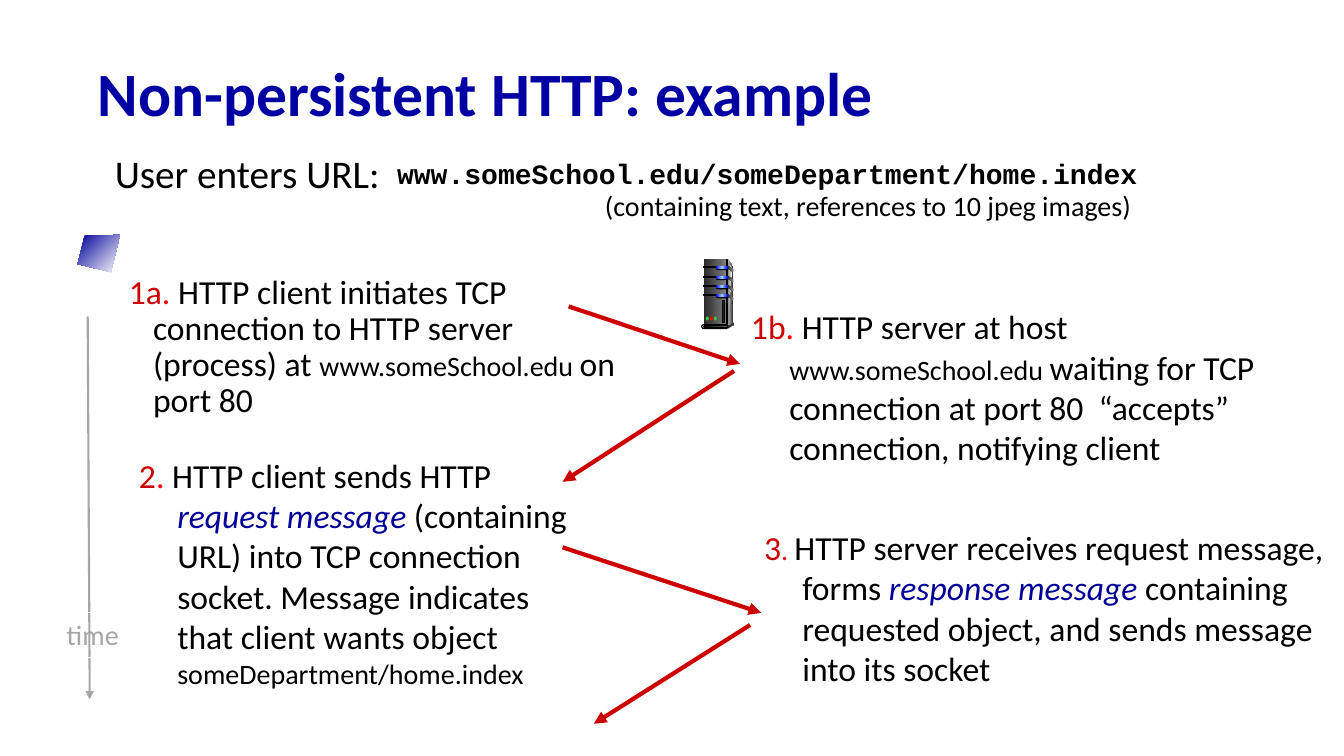
from copy import deepcopy
from dataclasses import dataclass
from typing import Any, Optional

from pptx import Presentation
from pptx.dml.color import RGBColor
from pptx.enum.shapes import MSO_CONNECTOR, MSO_SHAPE
from pptx.enum.text import MSO_ANCHOR, MSO_AUTO_SIZE, PP_ALIGN
from pptx.oxml.ns import qn
from pptx.util import Emu, Pt
from lxml.etree import SubElement

PX = 9144

BLACK = RGBColor(0x00, 0x00, 0x00)
WHITE = RGBColor(0xFF, 0xFF, 0xFF)
TITLE_BLUE = RGBColor(0x00, 0x00, 0xA3)
TERM_BLUE = RGBColor(0x00, 0x00, 0x99)
STEP_RED = RGBColor(0xCC, 0x00, 0x00)
DOT_RED = RGBColor(0xFF, 0x00, 0x00)
TIME_GREY = RGBColor(0xA6, 0xA6, 0xA6)
CHARCOAL = RGBColor(0x29, 0x29, 0x29)
DARK_GREY = RGBColor(0x33, 0x33, 0x33)
MID_GREY = RGBColor(0x80, 0x80, 0x80)
LIGHT_GREY = RGBColor(0xDD, 0xDD, 0xDD)
PALE_GREY = RGBColor(0xF8, 0xF8, 0xF8)
LED_BLUE = RGBColor(0x00, 0x00, 0xFF)
LED_SKY = RGBColor(0x99, 0xCC, 0xFF)
LED_GREEN = RGBColor(0x33, 0xCC, 0x33)

BLOCK, PILL, DOT = MSO_SHAPE.RECTANGLE, MSO_SHAPE.ROUNDED_RECTANGLE, MSO_SHAPE.OVAL
Box = tuple[int, int, int, int]
Point = tuple[int, int]
Colors = tuple[RGBColor, ...]


@dataclass(frozen=True)
class Run:
    """A stretch of text in one style."""
    text: str
    size: int = 24
    color: RGBColor = BLACK
    bold: bool = False
    italic: bool = False
    font: str = "Calibri"


@dataclass(frozen=True)
class Passage:
    """A one-paragraph text box with a hanging indent."""
    box: Box
    runs: tuple[Run, ...]
    frame: dict[str, Any]
    paragraph: dict[str, Any]
    margin: int = 0
    hang: int = 0
    border: Optional[RGBColor] = None


@dataclass(frozen=True)
class Arrow:
    """A straight arrow between two points."""
    start: Point
    end: Point
    color: RGBColor = STEP_RED
    width: float = 3


@dataclass(frozen=True)
class Part:
    """A preset shape of the server."""
    kind: MSO_SHAPE
    box: Box
    colors: Colors
    outlined: bool = False


@dataclass(frozen=True)
class Panel:
    """A polygon, filled plainly or by a gradient."""
    corners: tuple[Point, ...]
    colors: Colors
    angle: int = 0


def set_all(target: Any, values: dict[str, Any]) -> None:
    """Set each named attribute on the target."""
    for name, value in values.items():
        setattr(target, name, value)


def draw_passage(shapes: Any, passage: Passage) -> None:
    """Draw a text box."""
    textbox = shapes.add_textbox(*(Emu(length * PX) for length in passage.box))
    if passage.border:
        textbox.line.color.rgb = passage.border
        textbox.line.width = Pt(0.75)
    set_all(textbox.text_frame, passage.frame)
    paragraph = textbox.text_frame.paragraphs[0]
    set_all(paragraph, passage.paragraph)
    properties = paragraph._p.get_or_add_pPr()
    properties.set("marL", str(passage.margin * PX))
    properties.set("indent", str(-passage.hang * PX))
    for run in passage.runs:
        written = paragraph.add_run()
        written.text = run.text
        set_all(written.font, {"name": run.font, "size": Pt(run.size),
                               "bold": run.bold, "italic": run.italic})
        written.font.color.rgb = run.color


def draw_arrow(shapes: Any, arrow: Arrow) -> None:
    """Draw a line with a triangle at its end."""
    ends = (Emu(length * PX) for length in arrow.start + arrow.end)
    connector = shapes.add_connector(MSO_CONNECTOR.STRAIGHT, *ends)
    connector.line.color.rgb = arrow.color
    connector.line.width = Pt(arrow.width)
    SubElement(connector.line._get_or_add_ln(), qn("a:tailEnd"), type="triangle")
    SubElement(connector._element.spPr, qn("a:effectLst"))


def paint(shape: Any, colors: Colors, outlined: bool = False, angle: int = 0) -> None:
    """Fill a shape with one color or with evenly spaced gradient stops."""
    shape.shadow.inherit = False
    if outlined:
        shape.line.color.rgb = BLACK
        shape.line.width = Pt(0.75)
    else:
        shape.line.fill.background()
    if len(colors) == 1:
        shape.fill.solid()
        shape.fill.fore_color.rgb = colors[0]
        return
    shape.fill.gradient()
    shape.fill.gradient_angle = angle
    stop_list = shape._element.spPr.find(f".//{qn('a:gsLst')}")
    for _ in colors[2:]:
        stop_list.append(deepcopy(stop_list[0]))
    for index, (stop, color) in enumerate(zip(shape.fill.gradient_stops, colors)):
        stop.color.rgb = color
        stop.position = index / (len(colors) - 1)


def draw_part(shapes: Any, part: Part) -> None:
    """Draw a preset shape."""
    shape = shapes.add_shape(part.kind, *(Emu(length * PX) for length in part.box))
    if part.kind == PILL:
        shape.adjustments[0] = 0.5
    paint(shape, part.colors, part.outlined)


def draw_panel(shapes: Any, panel: Panel) -> None:
    """Draw a polygon."""
    first, *others = panel.corners
    builder = shapes.build_freeform(*first, scale=PX)
    builder.add_line_segments(others, close=True)
    paint(builder.convert_to_shape(), panel.colors, angle=panel.angle)


def draw_server(shapes: Any) -> None:
    """Draw the server tower from its body, drive slots and lights."""
    draw_panel(shapes, Panel(((722, 257), (727, 265), (727, 321), (721, 324)), (LIGHT_GREY, DARK_GREY)))
    draw_part(shapes, Part(BLOCK, (698, 257, 23, 67), (CHARCOAL, MID_GREY)))
    draw_panel(shapes, Panel(((722, 261), (726, 266), (724, 290), (722, 323)), (MID_GREY, PALE_GREY)))
    draw_part(shapes, Part(BLOCK, (721, 257, 1, 67), (DARK_GREY, LIGHT_GREY, DARK_GREY), True))
    for top in (264, 274, 283, 292):
        draw_part(shapes, Part(BLOCK, (698, top, 13, 1), (BLACK,), True))
        draw_part(shapes, Part(PILL, (710, top, 13, 4), (BLACK,)))
        draw_part(shapes, Part(PILL, (710, top, 12, 3), (LED_BLUE, LED_SKY, LED_BLUE)))
        tab = ((722, top), (727, top + 3), (727, top + 6), (722, top + 2))
        draw_panel(shapes, Panel(tab, (CHARCOAL, MID_GREY)))
    draw_part(shapes, Part(DOT, (727, 320, 1, 3), (DARK_GREY,)))
    draw_panel(shapes, Panel(((722, 323), (722, 326), (727, 323), (727, 321)), (DARK_GREY,)))
    draw_part(shapes, Part(PILL, (696, 322, 26, 4), (LIGHT_GREY,), True))
    draw_part(shapes, Part(PILL, (698, 323, 24, 2), (BLACK, MID_GREY), True))
    for left, color in ((700, LED_GREEN), (704, DOT_RED), (708, LED_GREEN)):
        draw_part(shapes, Part(DOT, (left, 314, 3, 4), (color,)))
    draw_part(shapes, Part(BLOCK, (717, 298, 2, 22), (CHARCOAL,), True))


WRAPPED = {"word_wrap": True}
GROWING = {"word_wrap": True, "auto_size": MSO_AUTO_SIZE.SHAPE_TO_FIT_TEXT}
UNWRAPPED = {"word_wrap": False, "auto_size": MSO_AUTO_SIZE.SHAPE_TO_FIT_TEXT}
CENTRED = {"alignment": PP_ALIGN.CENTER}
TIGHT = {"line_spacing": 0.9, "space_before": Pt(10)}

PASSAGES = (
    Passage((87, 47, 1150, 98), (Run("Non-persistent HTTP: example", 44, TITLE_BLUE, bold=True),),
            {"word_wrap": True, "vertical_anchor": MSO_ANCHOR.MIDDLE}, {"line_spacing": 0.9}),
    Passage((89, 148, 869, 51), (Run("User enters URL:", 28),), WRAPPED, TIGHT, 39, 24),
    Passage((103, 268, 530, 208), (
        Run("1a", color=STEP_RED), Run(".", color=DOT_RED),
        Run(" HTTP client initiates TCP connection to HTTP server (process) at "),
        Run("www.someSchool.edu ", 20), Run("on port 80")), WRAPPED, TIGHT, 39, 24),
    Passage((128, 446, 461, 118), (
        Run("2", color=STEP_RED), Run(".", color=DOT_RED), Run(" HTTP client sends HTTP "),
        Run("request message", color=TERM_BLUE, italic=True),
        Run(" (containing URL) into TCP connection socket. Message indicates that client wants object "),
        Run("someDepartment/home.index", 20)), WRAPPED, {}, 38, 38),
    Passage((735, 299, 589, 165), (
        Run("1b", color=STEP_RED), Run(".", color=DOT_RED), Run(" HTTP server at host "),
        Run("www.someSchool.edu ", 20),
        Run("waiting for TCP connection at port 80  “accepts” connection, notifying client")),
        WRAPPED, {}, 38, 38),
    Passage((748, 518, 590, 197), (
        Run("3", color=STEP_RED), Run(". ", 20, DOT_RED),
        Run("HTTP server receives request message, forms "),
        Run("response message", color=TERM_BLUE, italic=True),
        Run(" containing requested object, and sends message into its socket")), WRAPPED, {}, 38, 38),
    Passage((55, 608, 74, 44), (Run("time", 20, TIME_GREY),), UNWRAPPED, CENTRED, border=WHITE),
    Passage((512, 182, 698, 44), (Run("(containing text, references to 10 jpeg images)", 20),),
            GROWING, CENTRED),
    Passage((384, 155, 869, 51), (
        Run("www.someSchool.edu/someDepartment/home.index", 20, bold=True, font="Courier New"),),
        WRAPPED, {"line_spacing": 0.85}, 38, 38),
)

ARROWS = (
    Arrow((87, 314), (89, 694), TIME_GREY, 1.5),
    Arrow((564, 304), (734, 361)),
    Arrow((728, 368), (558, 478)),
    Arrow((558, 543), (755, 608)),
    Arrow((744, 620), (589, 718)),
)

CLIENT = Panel(((119, 233), (84, 234), (77, 262), (110, 270)), (TERM_BLUE, WHITE), 315)


def main() -> None:
    """Build the slide and save it."""
    deck = Presentation()
    set_all(deck, {"slide_width": Emu(1333 * PX), "slide_height": Emu(750 * PX)})
    shapes = deck.slides.add_slide(deck.slide_layouts[6]).shapes
    for arrow in ARROWS:
        draw_arrow(shapes, arrow)
    for passage in PASSAGES:
        draw_passage(shapes, passage)
    draw_panel(shapes, CLIENT)
    draw_server(shapes.add_group_shape().shapes)
    deck.save("out.pptx")


if __name__ == "__main__":
    main()
